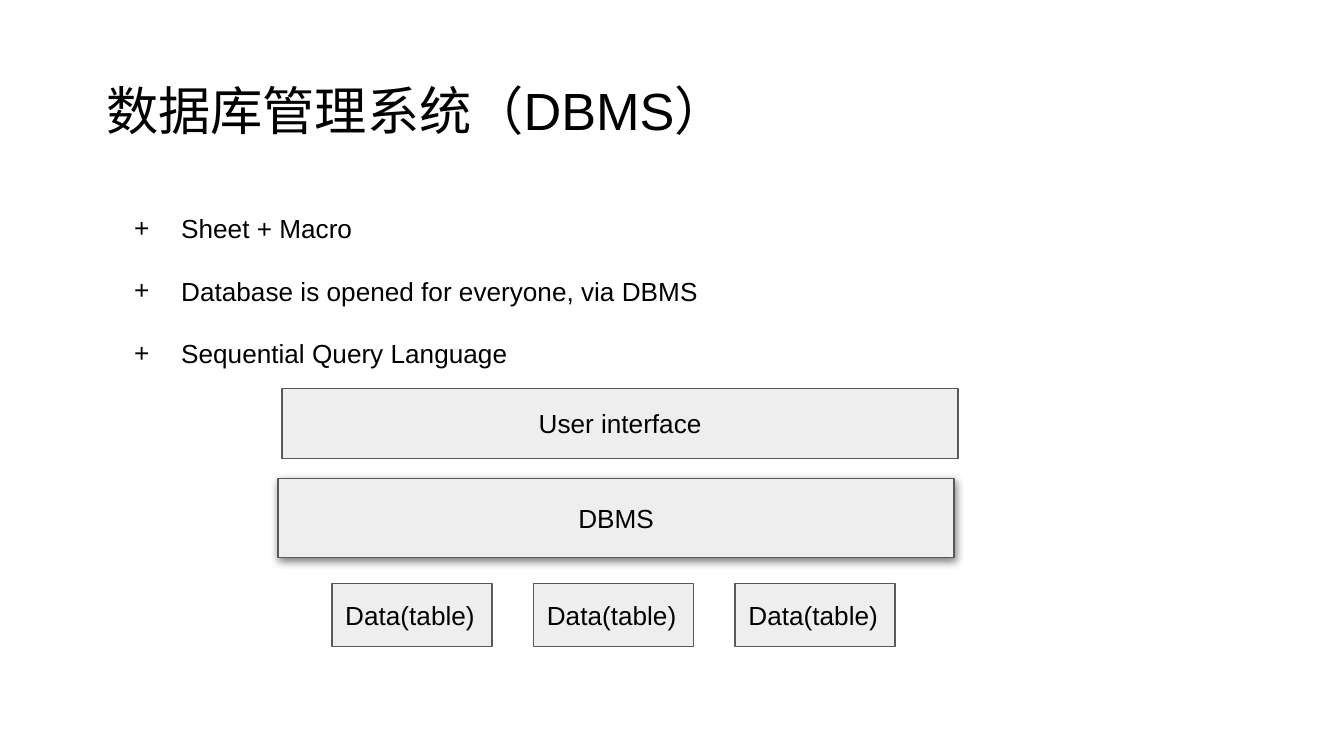
import pptx
import pptx.util
import pptx.dml.color
import pptx.enum.shapes
import pptx.enum.text
import pptx.oxml
import pptx.oxml.ns

Inches, Pt = pptx.util.Inches, pptx.util.Pt
ALIGN = pptx.enum.text.PP_ALIGN
ANCHOR = pptx.enum.text.MSO_ANCHOR

WIDTH = 10
HEIGHT = WIDTH * 9 / 16
TITLE = "数据库管理系统（DBMS）"
POINTS = [
    "Sheet + Macro",
    "Database is opened for everyone, via DBMS",
    "Sequential Query Language",
]
TABLES = ["Data(table)"] * 3
LAYERS = [  # text, place, raised
    ("DBMS", (2.07, 3.56, 5.03, 0.59), True),
    ("User interface", (2.1, 2.89, 5.03, 0.52), False),
]
TABLE_AT, TABLE_STEP = (2.47, 4.34, 1.19, 0.47), 1.5
COLORS = {"ink": "000000", "fill": "EEEEEE", "edge": "595959"}
FONT = {"name": "Arial", "bold": False}


def color(key):
    """Return a named colour."""
    return pptx.dml.color.RGBColor.from_string(COLORS[key])


def apply(item, values):
    """Set attributes from a dict."""
    for key, value in values.items():
        setattr(item, key, value)


def frame(shape, anchor, pad=0.1):
    """Set the margins, wrap and anchor of a text frame."""
    text = shape.text_frame
    apply(text, {
        "word_wrap": True, "vertical_anchor": anchor,
        "margin_left": Inches(0.1), "margin_right": Inches(0.1),
        "margin_top": Inches(pad), "margin_bottom": Inches(pad),
    })
    return text


def write(para, text, size=14, **values):
    """Fill a paragraph with one styled run."""
    run = para.add_run()
    run.text = text
    apply(run.font, {**FONT, "size": Pt(size)})
    run.font.color.rgb = color("ink")
    apply(para, values)


def bullet(para):
    """Give a paragraph a hanging plus sign."""
    props = para._p.get_or_add_pPr()
    props.set("marL", str(Inches(0.5)))
    props.set("indent", str(Inches(-0.35)))
    ns = pptx.oxml.ns.nsdecls("a")
    for xml in (
        f'<a:buClr {ns}><a:srgbClr val="{COLORS["ink"]}"/></a:buClr>',
        f'<a:buFont {ns} typeface="Arial"/>',
        f'<a:buChar {ns} char="+"/>',
    ):
        props.append(pptx.oxml.parse_xml(xml))


def raise_box(shape):
    """Put a soft shadow below a shape."""
    effects = shape._element.spPr.find(pptx.oxml.ns.qn("a:effectLst"))
    effects.append(pptx.oxml.parse_xml(
        f'<a:outerShdw {pptx.oxml.ns.nsdecls("a")} blurRad="{Pt(4.5)}" '
        f'dist="{Pt(1.5)}" dir="5400000" algn="bl" rotWithShape="0">'
        f'<a:srgbClr val="{COLORS["ink"]}"><a:alpha val="50000"/></a:srgbClr>'
        '</a:outerShdw>'))


def box(text, place, align, raised=False):
    """Draw one labelled box."""
    shape = slide.shapes.add_shape(
        pptx.enum.shapes.MSO_SHAPE.RECTANGLE, *map(Inches, place))
    shape.shadow.inherit = False
    shape.fill.solid()
    shape.fill.fore_color.rgb = color("fill")
    shape.line.color.rgb = color("edge")
    shape.line.width = Pt(0.75)
    write(frame(shape, ANCHOR.MIDDLE).paragraphs[0], text, alignment=align)
    if raised:
        raise_box(shape)


deck = pptx.Presentation()
apply(deck, {"slide_width": Inches(WIDTH), "slide_height": Inches(HEIGHT)})
slide = deck.slides.add_slide(deck.slide_layouts[5])

title = slide.shapes.title
apply(title, {"left": Inches(0.69), "top": Inches(0.3),
              "width": Inches(8.62), "height": Inches(1.09)})
write(frame(title, ANCHOR.MIDDLE, 0.05).paragraphs[0], TITLE, 28,
      alignment=ALIGN.LEFT, line_spacing=0.9)

body = slide.shapes.add_textbox(*map(Inches, (0.75, 1.48, 5.94, 1.62)))
text = frame(body, ANCHOR.TOP)
for i, point in enumerate(POINTS):
    para = text.add_paragraph() if i else text.paragraphs[0]
    write(para, point, space_before=Pt(16.8 if i else 0))
    bullet(para)

left, top, width, height = TABLE_AT
for i, name in enumerate(TABLES):
    box(name, (left + i * TABLE_STEP, top, width, height), ALIGN.LEFT)
for name, place, raised in LAYERS:
    box(name, place, ALIGN.CENTER, raised)

deck.save("out.pptx")
